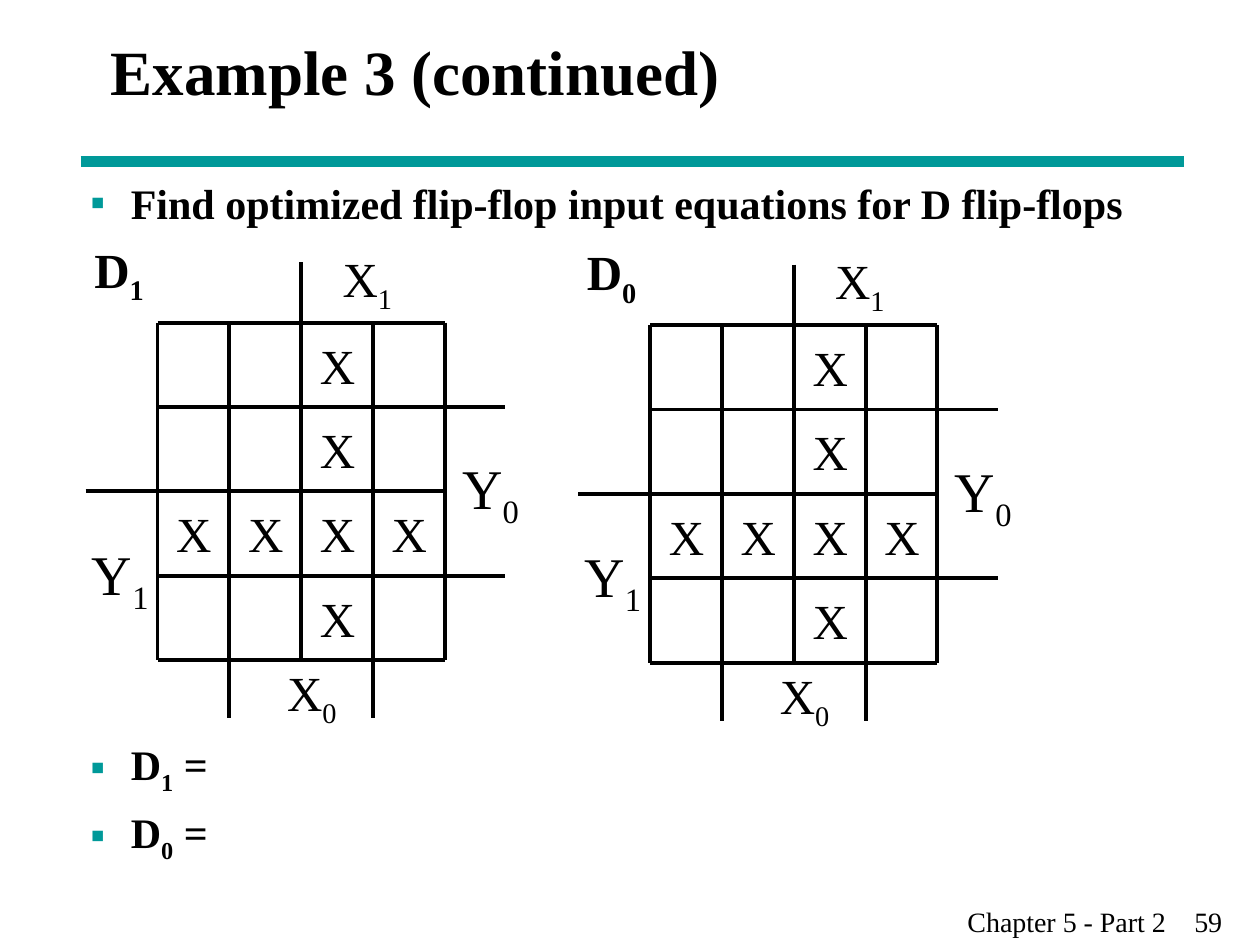
from dataclasses import dataclass

from lxml.etree import SubElement
from pptx import Presentation
from pptx.dml.color import RGBColor
from pptx.enum.shapes import MSO_CONNECTOR
from pptx.enum.text import MSO_ANCHOR
from pptx.oxml.ns import qn
from pptx.util import Inches, Pt


@dataclass(frozen=True)
class Theme:
    font: str = "Times New Roman"
    ink: RGBColor = RGBColor(0, 0, 0)
    accent: RGBColor = RGBColor(0x00, 0x99, 0x99)
    title: int = 36
    body: int = 24
    variable: int = 28
    state: int = 32
    footer: int = 16
    rule: float = 6
    grid: float = 2.25


THEME = Theme()
COLUMN, ROW, CELLS = 0.57, 0.67, 4
MAPS = [("0", 5.16, 2.58), ("1", 1.25, 2.56)]
# Row and column of each marked cell
MARKS = [(0, 2), (1, 2), (2, 0), (2, 1), (2, 2), (2, 3), (3, 2)]
# Letter, subscript, type size, offset from the map corner, box size
VARIABLES = [
    ("Y", "0", THEME.state, 2.32, 0.99, 0.65, 0.71),
    ("Y", "1", THEME.state, -0.62, 1.67, 0.65, 0.71),
    ("X", "1", THEME.variable, 1.37, -0.64, 0.59, 0.63),
    ("X", "0", THEME.variable, 0.93, 2.65, 0.59, 0.63),
]


def add_text_frame(slide, left, top, width, height, wrap=True):
    box = slide.shapes.add_textbox(Inches(left), Inches(top), Inches(width), Inches(height))
    frame = box.text_frame
    frame.word_wrap = wrap
    return frame


def write(paragraph, size, text, subscript="", rest="", bold=False):
    """Fill a paragraph with text, an optional subscript and what follows it."""
    for name, value in {"name": THEME.font, "size": Pt(size), "bold": bold}.items():
        setattr(paragraph.font, name, value)
    for part, baseline in ((text, 0), (subscript, -25000), (rest, 0)):
        if not part:
            continue
        run = paragraph.add_run()
        run.text = part
        values = {"name": THEME.font, "size": Pt(size), "bold": bold}
        for name, value in values.items():
            setattr(run.font, name, value)
        run.font.color.rgb = THEME.ink
        if baseline:
            run._r.get_or_add_rPr().set("baseline", str(baseline))


def add_label(slide, place, size, text, subscript="", bold=False, wrap=True):
    frame = add_text_frame(slide, *place, wrap=wrap)
    write(frame.paragraphs[0], size, text, subscript, bold=bold)
    return frame


def add_line(slide, start, end, color=THEME.ink, width=THEME.grid):
    points = [Inches(value) for value in (*start, *end)]
    line = slide.shapes.add_connector(MSO_CONNECTOR.STRAIGHT, *points)
    line.line.color.rgb = color
    line.line.width = Pt(width)
    SubElement(line._element.spPr, qn("a:effectLst"))


def set_bullet(paragraph):
    properties = paragraph._p.get_or_add_pPr()
    properties.set("marL", str(Inches(0.32)))
    properties.set("indent", str(-Inches(0.32)))
    color = SubElement(properties, qn("a:buClr"))
    SubElement(color, qn("a:srgbClr"), val=str(THEME.accent))
    SubElement(properties, qn("a:buFont"), typeface=THEME.font)
    SubElement(properties, qn("a:buChar"), char="▪")


def add_body(slide):
    frame = add_text_frame(slide, 0.62, 1.36, 8.96, 5.5)
    items = [
        (0, ("Find optimized flip-flop input equations for D flip-flops",)),
        (292, ("D", "1", " =")),  # leaves room for the maps
        (6, ("D", "0", " =")),
    ]
    for index, (space, parts) in enumerate(items):
        paragraph = frame.add_paragraph() if index else frame.paragraphs[0]
        set_bullet(paragraph)
        paragraph.space_before = Pt(space)
        write(paragraph, THEME.body, *parts, bold=True)


def add_grid(slide, left, top):
    """Draw the map's lines; some run past the grid to bracket a variable."""
    right, bottom = left + CELLS * COLUMN, top + CELLS * ROW
    row_reach = [(0, 0), (0, 0.48), (0.57, 0), (0, 0.48), (0, 0)]
    column_reach = [(0, 0), (0, 0.46), (0.48, 0), (0, 0.46), (0, 0)]
    for index, (before, after) in enumerate(row_reach):
        y = top + index * ROW
        add_line(slide, (left - before, y), (right + after, y))
    for index, (before, after) in enumerate(column_reach):
        x = left + index * COLUMN
        add_line(slide, (x, top - before), (x, bottom + after))


def add_map(slide, output, left, top):
    add_label(slide, (left - 0.6, top - 0.71, 0.74, 0.63), THEME.variable, "D", output, bold=True)
    add_grid(slide, left, top)
    for letter, subscript, size, x, y, width, height in VARIABLES:
        place = (left + x, top + y, width, height)
        add_label(slide, place, size, letter, subscript, wrap=False)
    for row, column in MARKS:
        place = (left + column * COLUMN + 0.05, top + row * ROW + 0.05, 0.49, 0.57)
        add_label(slide, place, THEME.variable, "X")


def add_footer(slide):
    frame = add_text_frame(slide, 7.58, 7.13, 2.42, 0.37)
    paragraph = frame.paragraphs[0]
    tabs = SubElement(paragraph._p.get_or_add_pPr(), qn("a:tabLst"))
    SubElement(tabs, qn("a:tab"), pos=str(Inches(1.8)), algn="l")
    write(paragraph, THEME.footer, "Chapter 5 - Part 2\t59")


def main():
    presentation = Presentation()
    presentation.slide_width = Inches(10)
    presentation.slide_height = Inches(7.5)
    slide = presentation.slides.add_slide(presentation.slide_layouts[6])

    add_line(slide, (0.64, 1.28), (9.4, 1.28), THEME.accent, THEME.rule)
    add_footer(slide)
    title = add_label(slide, (0.78, 0, 8.5, 1.12), THEME.title, "Example 3 (continued)", bold=True)
    title.vertical_anchor = MSO_ANCHOR.MIDDLE
    add_body(slide)
    for output, left, top in MAPS:
        add_map(slide, output, left, top)

    presentation.save("out.pptx")


if __name__ == "__main__":
    main()
